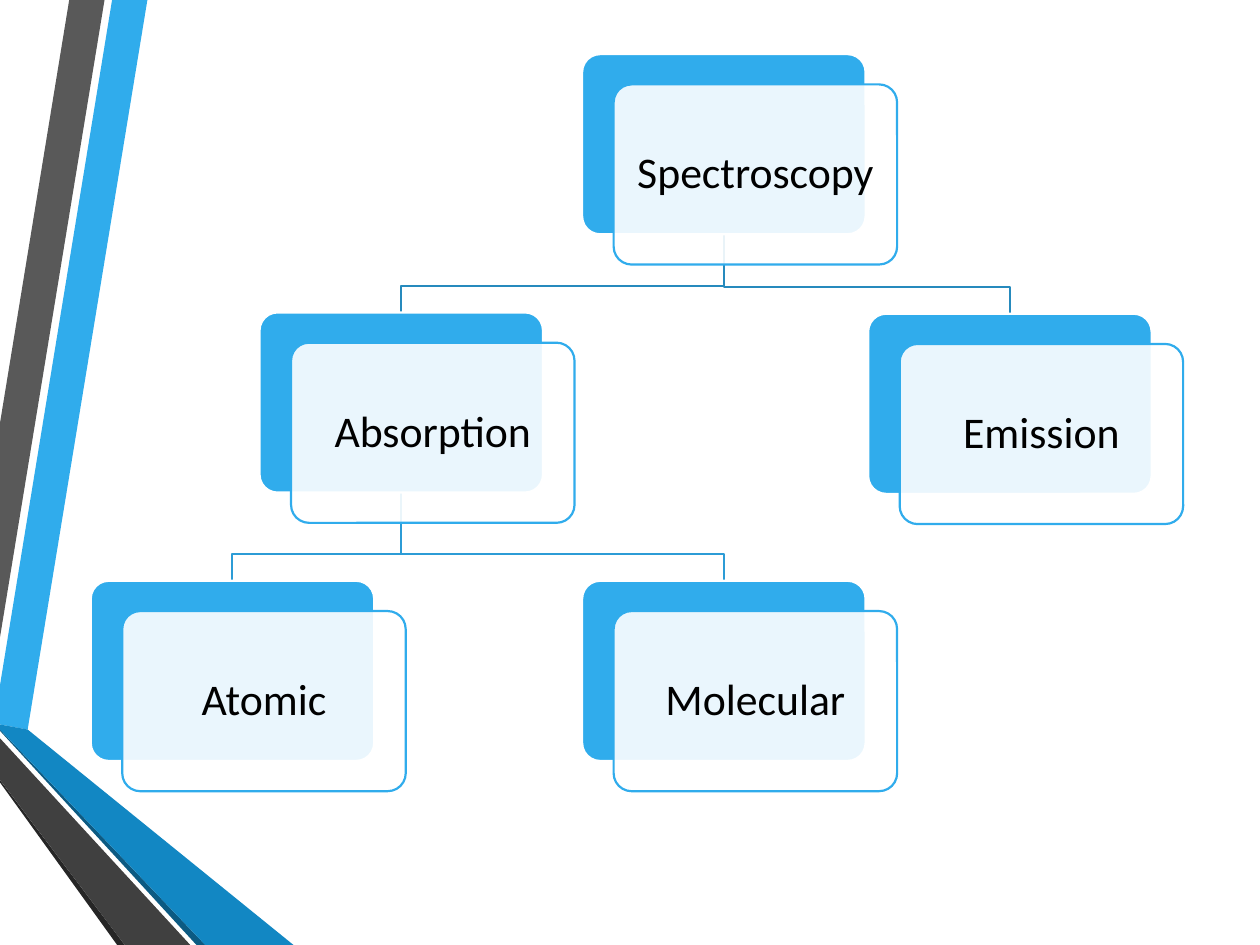
from dataclasses import dataclass

from lxml import etree
from pptx import Presentation
from pptx import util as u
from pptx.dml.color import RGBColor
from pptx.enum import shapes, text
from pptx.oxml.ns import qn


@dataclass(frozen=True)
class Theme:
    accent: str = "30ACEC"
    accent_dark: str = "1287C3"
    accent_shadow: str = "0C5A82"
    grey: str = "595959"
    grey_dark: str = "404040"
    grey_shadow: str = "262626"
    link_top: str = "268ABD"
    link_low: str = "2C9CD6"
    white: str = "FFFFFF"
    black: str = "000000"
    font: str = "Calibri"
    size: float = 25
    line: float = 1.25
    card_opacity: int = 90


CARD_W, CARD_H = 2.25, 1.43
SHIFT_X, SHIFT_Y = 0.25, 0.24
INSET = 0.04
ELBOW = 0.21


def set_all(obj, values):
    for name, value in values.items():
        setattr(obj, name, value)


class Deck:
    def __init__(self, theme):
        self.theme = theme
        self.prs = Presentation()
        set_all(self.prs, {"slide_width": u.Inches(10), "slide_height": u.Inches(7.5)})
        self.s = self.prs.slides.add_slide(self.prs.slide_layouts[6])

    def style(self, sp, fill=None, line=None, opacity=100):
        sp.shadow.inherit = False
        if fill:
            sp.fill.solid()
            sp.fill.fore_color.rgb = RGBColor.from_string(fill)
            if opacity < 100:
                clr = sp.element.spPr.find(qn("a:solidFill"))[0]
                etree.SubElement(clr, qn("a:alpha"), val=str(opacity * 1000))
        else:
            sp.fill.background()
        if line:
            sp.line.color.rgb = RGBColor.from_string(line)
            sp.line.width = u.Pt(self.theme.line)
        else:
            sp.line.fill.background()

    def path_shape(self, points, fill=None, line=None):
        pts = [(u.Inches(x), u.Inches(y)) for x, y in points]
        fb = self.s.shapes.build_freeform(*pts[0])
        fb.add_line_segments(pts[1:], close=fill is not None)
        self.style(fb.convert_to_shape(), fill, line)

    def link(self, parent, child, color):
        x1, y1 = parent[0] + CARD_W / 2, parent[1] + CARD_H
        x2, y2 = child[0] + CARD_W / 2, child[1]
        bend = y2 - ELBOW
        self.path_shape([(x1, y1), (x1, bend), (x2, bend), (x2, y2)], line=color)

    def panel(self, x, y, fill, line, opacity=100):
        sp = self.s.shapes.add_shape(
            shapes.MSO_SHAPE.ROUNDED_RECTANGLE,
            u.Inches(x), u.Inches(y), u.Inches(CARD_W), u.Inches(CARD_H))
        sp.adjustments[0] = 0.1
        self.style(sp, fill, line, opacity)

    def label(self, words, x, y):
        t = self.theme
        tf = self.s.shapes.add_textbox(
            u.Inches(x + INSET), u.Inches(y + INSET),
            u.Inches(CARD_W - 2 * INSET), u.Inches(CARD_H - 2 * INSET)).text_frame
        margins = {f"margin_{side}": u.Inches(0.1)
                   for side in ("left", "top", "right", "bottom")}
        set_all(tf, {**margins, "word_wrap": True,
                     "vertical_anchor": text.MSO_ANCHOR.MIDDLE})
        p = tf.paragraphs[0]
        set_all(p, {"alignment": text.PP_ALIGN.CENTER, "line_spacing": 0.9})
        r = p.add_run()
        r.text = words
        set_all(r.font, {"name": t.font, "size": u.Pt(t.size)})
        r.font.color.rgb = RGBColor.from_string(t.black)

    def card(self, words, x, y):
        t = self.theme
        self.panel(x, y, t.accent, t.white)
        x, y = x + SHIFT_X, y + SHIFT_Y
        self.panel(x, y, t.white, t.accent, t.card_opacity)
        self.label(words, x, y)


def main():
    t = Theme()
    d = Deck(t)

    ribbons = [
        (t.accent, [(0, 5.44), (0, 5.75), (0.22, 5.79), (1.17, 0), (0.89, 0)]),
        (t.grey, [(0.83, 0), (0.55, 0), (0, 3.36), (0, 5.06)]),
        (t.grey_shadow, [(0, 6.19), (0, 6.21), (0.93, 7.5), (0.99, 7.5)]),
        (t.accent_shadow, [(0, 5.79), (0, 5.8), (1.56, 7.5), (1.63, 7.5)]),
        (t.accent_dark, [(0, 5.79), (1.63, 7.5), (2.33, 7.5), (0.22, 5.79), (0, 5.75)]),
        (t.grey_dark, [(0, 6.19), (0.99, 7.5), (1.51, 7.5), (0, 5.86)]),
    ]
    for fill, points in ribbons:
        d.path_shape(points, fill)

    cards = {
        "Spectroscopy": (4.62, 0.43),
        "Absorption": (2.06, 2.48),
        "Atomic": (0.72, 4.61),
        "Molecular": (4.62, 4.61),
        "Emission": (6.89, 2.49),
    }
    links = [
        ("Spectroscopy", "Emission", t.link_top),
        ("Absorption", "Molecular", t.link_low),
        ("Absorption", "Atomic", t.link_low),
        ("Spectroscopy", "Absorption", t.link_top),
    ]
    for parent, child, color in links:
        d.link(cards[parent], cards[child], color)
    for words, (x, y) in cards.items():
        d.card(words, x, y)

    d.prs.save("out.pptx")


if __name__ == "__main__":
    main()
